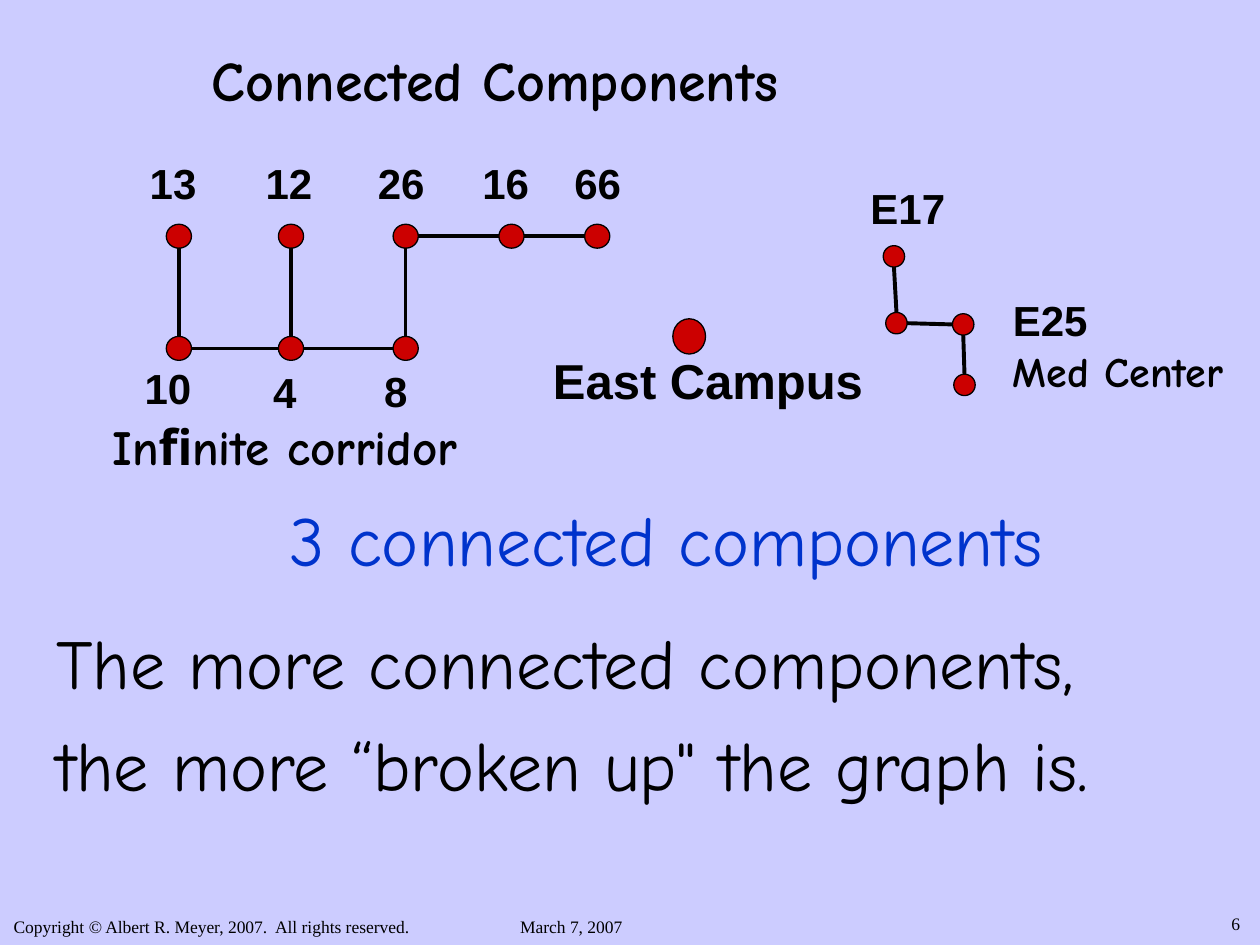
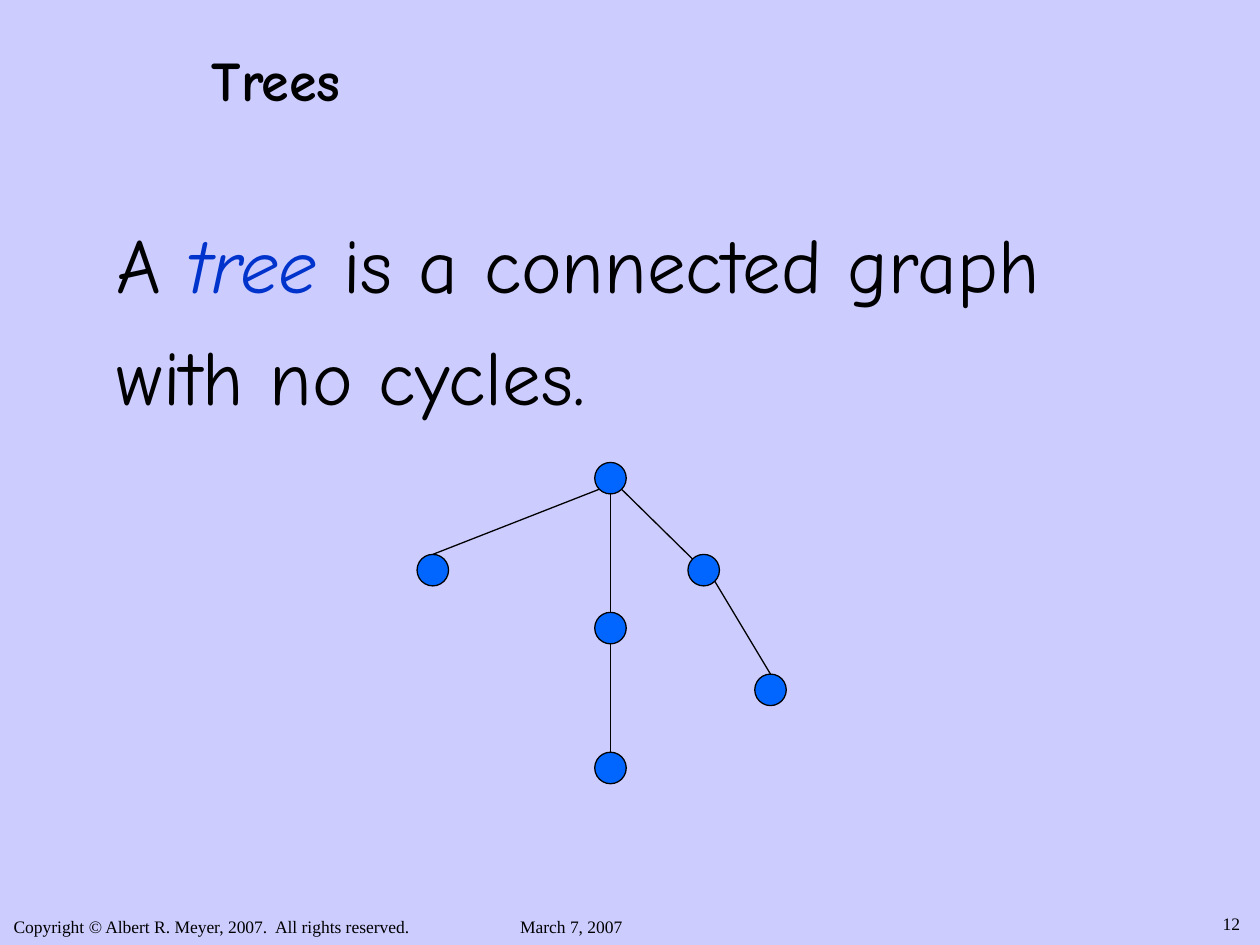
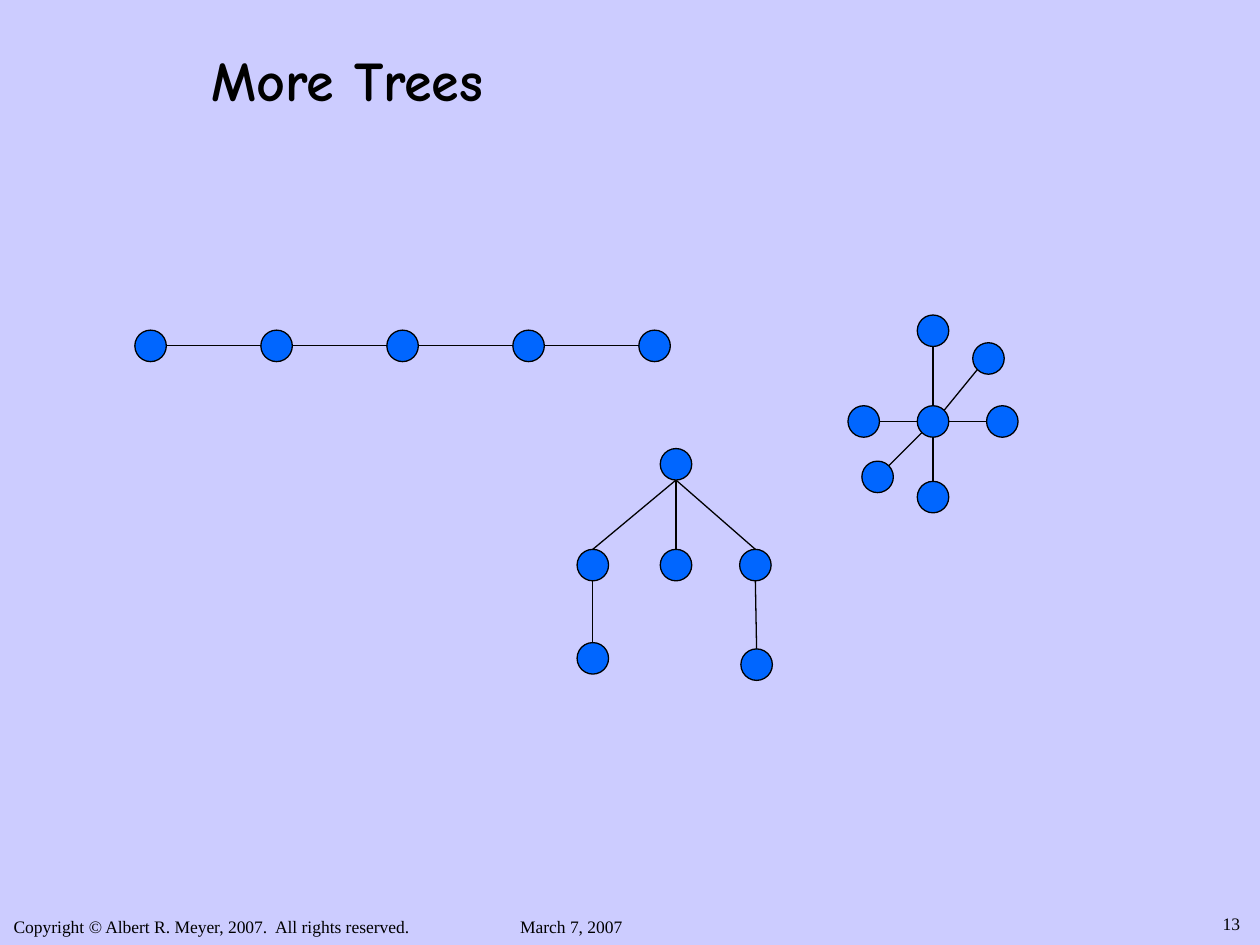
import dataclasses

import lxml.etree
import pptx
import pptx.dml.color
import pptx.enum.shapes
import pptx.enum.text
import pptx.oxml.ns
import pptx.util

PX = 9144  # EMU in one px, 100 px to the inch
ALIGN = pptx.enum.text.PP_ALIGN
ANCHOR = pptx.enum.text.MSO_ANCHOR


@dataclasses.dataclass(frozen=True)
class Theme:
    ground: str = "CCCCFF"
    ink: str = "000000"
    accent: str = "0033CC"
    red: str = "CC0000"
    blue: str = "0066FF"
    hand: str = "Comic Neue"
    sans: str = "Arial"
    serif: str = "Times New Roman"
    small: int = 10
    label: int = 24
    place: int = 28
    title: int = 32
    claim: int = 40
    body: int = 44


@dataclasses.dataclass(frozen=True)
class Look:
    """How the nodes and links of a graph are drawn."""
    fill: str
    wide: int
    high: int
    line: float


THEME = Theme()
HALL = Look(THEME.red, 20, 19, 2)
CAMPUS = Look(THEME.red, 26, 28, 2)
EAST = Look(THEME.red, 17, 17, 2.25)
TREE = Look(THEME.blue, 25, 25, 0.75)

# Places on a node's rim, as shares of its width and height
PORTS = {"n": (0.5, 0), "ne": (0.85, 0.15), "e": (1, 0.5), "se": (0.85, 0.85),
         "s": (0.5, 1), "sw": (0.15, 0.85), "w": (0, 0.5), "nw": (0.15, 0.15)}
FACING = {"n": "s", "ne": "sw", "e": "w", "se": "nw",
          "s": "n", "sw": "ne", "w": "e", "nw": "se"}


def px(*sizes):
    return [round(size * PX) for size in sizes]


def color(code):
    return pptx.dml.color.RGBColor.from_string(code)


def style(font, face=None, size=None, ink=None, bold=None, italic=None):
    if face:
        font.name = face
    if size:
        font.size = pptx.util.Pt(size)
    if ink:
        font.color.rgb = color(ink)
    if bold is not None:
        font.bold = bold
    if italic is not None:
        font.italic = italic


def para(item, parts, face, size, ink=THEME.ink, bold=False):
    """Fill a paragraph from a string or a list of (text, run style)."""
    if isinstance(parts, str):
        parts = [(parts, {})]
    style(item.font, face, size, ink, bold)
    for words, extra in parts:
        run = item.add_run()
        run.text = words
        style(run.font, **extra)


def text(slide, box, lines, wrap=False, align=ALIGN.LEFT, gap=0):
    """Add a text box; each line is the arguments of one paragraph."""
    frame = slide.shapes.add_textbox(*px(*box)).text_frame
    frame.word_wrap = wrap
    for i, line in enumerate(lines):
        item = frame.add_paragraph() if i else frame.paragraphs[0]
        item.alignment = align
        if i and gap:
            item.space_before = pptx.util.Pt(gap)
        para(item, *line)


def label(slide, x, y, words, wide=57):
    text(slide, (x, y, wide, 50), [(words, THEME.sans, THEME.label, THEME.ink, True)])


def link(slide, start, end, weight):
    kind = pptx.enum.shapes.MSO_CONNECTOR.STRAIGHT
    line = slide.shapes.add_connector(kind, *px(*start, *end))
    line.line.color.rgb = color(THEME.ink)
    line.line.width = pptx.util.Pt(weight)
    lxml.etree.SubElement(line._element.spPr, pptx.oxml.ns.qn("a:effectLst"))


def graph(slide, box, nodes, links, look):
    """Draw nodes {name: (x, y)} and links (node, port, node, port)."""
    left, top = box

    def rim(name, port):
        x, y = nodes[name]
        across, down = PORTS[port]
        return left + x + across * look.wide, top + y + down * look.high

    for first, out, last, into in links:
        link(slide, rim(first, out), rim(last, into), look.line)
    for x, y in nodes.values():
        kind = pptx.enum.shapes.MSO_SHAPE.OVAL
        dot = slide.shapes.add_shape(kind, *px(left + x, top + y, look.wide, look.high))
        dot.shadow.inherit = False
        dot.fill.solid()
        dot.fill.fore_color.rgb = color(look.fill)
        dot.line.color.rgb = color(THEME.ink)
        dot.line.width = pptx.util.Pt(0.75)


def start(deck, title, number):
    """Add a slide with its title, footer and number."""
    slide = deck.slides.add_slide(deck.slide_layouts[5])
    head = slide.shapes.title
    head.left, head.top, head.width, head.height = px(158, 0, 825, 125)
    head.text_frame.vertical_anchor = ANCHOR.MIDDLE
    item = head.text_frame.paragraphs[0]
    item.alignment = ALIGN.LEFT
    para(item, title, THEME.hand, THEME.title, THEME.ink, True)

    notice = [("Copyright ", {}), ("©", {"italic": True}),
              (" Albert R. Meyer, 2007.  All rights reserved.", {})]
    small = THEME.serif, THEME.small
    text(slide, (403, 722, 101, 27), [("March 7, 2007", *small)])
    text(slide, (1, 722, 336, 27), [(notice, *small)])
    text(slide, (832, 720, 162, 27), [(str(number), *small)], True, ALIGN.RIGHT)
    return slide


def hall(slide, x, y):
    """The buildings along the corridor."""
    cols = [0, 89, 180, 264, 332]
    nodes = {name: (col, 0) for name, col in zip(("13", "12", "26", "16", "66"), cols)}
    nodes |= {name: (col, 89) for name, col in zip(("10", "4", "8"), cols)}
    links = [(up, "s", low, "n") for up, low in (("13", "10"), ("12", "4"), ("26", "8"))]
    links += [(a, "e", b, "w") for a, b in
              (("10", "4"), ("4", "8"), ("26", "16"), ("16", "66"))]
    graph(slide, (x, y), nodes, links, HALL)
    for name, shift in (("13", -23), ("12", 69), ("26", 158), ("16", 241), ("66", 314)):
        label(slide, x + shift, y - 58, name)
    label(slide, x - 27, y + 105, "10")
    label(slide, x + 163, y + 107, "8", 38)
    text(slide, (x - 120, y + 108, 428, 97),
         [("4", THEME.sans, THEME.label, THEME.ink, True),
          ("Inﬁnite corridor", THEME.hand, THEME.place, THEME.ink, True)],
         True, ALIGN.CENTER)


def campus(slide, x, y):
    graph(slide, (x, y), {"east": (105, 0)}, [], CAMPUS)
    text(slide, (x, y + 20, 266, 57),
         [("East Campus", THEME.sans, THEME.place, THEME.ink, True)])


def east(slide, x, y):
    """The buildings around the medical centre."""
    nodes = {"E17": (0, 0), "bend": (2, 53), "E25": (55, 54), "end": (56, 102)}
    links = [("E17", "s", "bend", "n"), ("bend", "e", "E25", "w"),
             ("E25", "s", "end", "n")]
    graph(slide, (x, y), nodes, links, EAST)
    label(slide, x - 20, y - 55, "E17", 79)
    text(slide, (x + 93, y + 34, 187, 90),
         [("E25", THEME.sans, THEME.label, THEME.ink, True),
          ("Med Center", THEME.hand, THEME.label, THEME.ink, True)])


def chain(slide, x, y):
    nodes = {i: (i * 100, 0) for i in range(5)}
    links = [(i, "e", i + 1, "w") for i in range(4)]
    graph(slide, (x, y), nodes, links, TREE)


def star(slide, x, y):
    """A hub with one spoke for each named direction."""
    spokes = {"n": (55, 0), "ne": (99, 22), "e": (110, 72),
              "s": (55, 132), "sw": (11, 116), "w": (0, 72)}
    links = [("hub", way, way, FACING[way]) for way in spokes]
    graph(slide, (x, y), {"hub": (55, 72)} | spokes, links, TREE)


def fork(slide, x, y):
    """A root with three children, the outer two with a leaf each."""
    nodes = {"root": (66, 0), "left": (0, 80), "mid": (66, 80), "right": (129, 80),
             "low": (0, 154), "end": (130, 159)}
    pairs = [("root", "left"), ("root", "mid"), ("root", "right"),
             ("left", "low"), ("right", "end")]
    graph(slide, (x, y), nodes, [(a, "s", b, "n") for a, b in pairs], TREE)


def branch(slide, x, y):
    """A root with three branches of uneven depth."""
    nodes = {"root": (141, 0), "left": (0, 73), "right": (215, 73),
             "mid": (141, 119), "low": (141, 230), "end": (268, 168)}
    links = [("root", "sw", "left", "n"), ("root", "s", "mid", "n"),
             ("root", "se", "right", "nw"), ("mid", "s", "low", "n"),
             ("right", "se", "end", "n")]
    graph(slide, (x, y), nodes, links, TREE)


def parts(deck):
    """The slide on connected components."""
    slide = start(deck, "Connected Components", 6)
    campus(slide, 429, 253)
    east(slide, 701, 195)
    hall(slide, 132, 178)
    claim = THEME.hand, THEME.claim
    text(slide, (220, 389, 619, 77), [("3 connected components", *claim, THEME.accent)])
    text(slide, (35, 487, 934, 215),
         [("The more connected components,", *claim),
          ("the more “broken up\" the graph is.", *claim)], True, gap=10)


def trees(deck):
    slide = start(deck, "Trees", 12)
    first = [("A ", {}), ("tree", {"ink": THEME.accent, "italic": True}),
             (" is a connected graph", {})]
    text(slide, (83, 167, 842, 208),
         [(first, THEME.hand, THEME.body),
          ("with no cycles.", THEME.hand, THEME.body)], True, gap=11)
    branch(slide, 331, 367)


def more(deck):
    slide = start(deck, "More Trees", 13)
    chain(slide, 107, 262)
    star(slide, 673, 250)
    fork(slide, 458, 356)


def main():
    deck = pptx.Presentation()
    deck.slide_width, deck.slide_height = px(1000, 750)
    back = deck.slide_master.background.fill
    back.solid()
    back.fore_color.rgb = color(THEME.ground)
    for build in (parts, trees, more):
        build(deck)
    deck.save("out.pptx")


if __name__ == "__main__":
    main()
